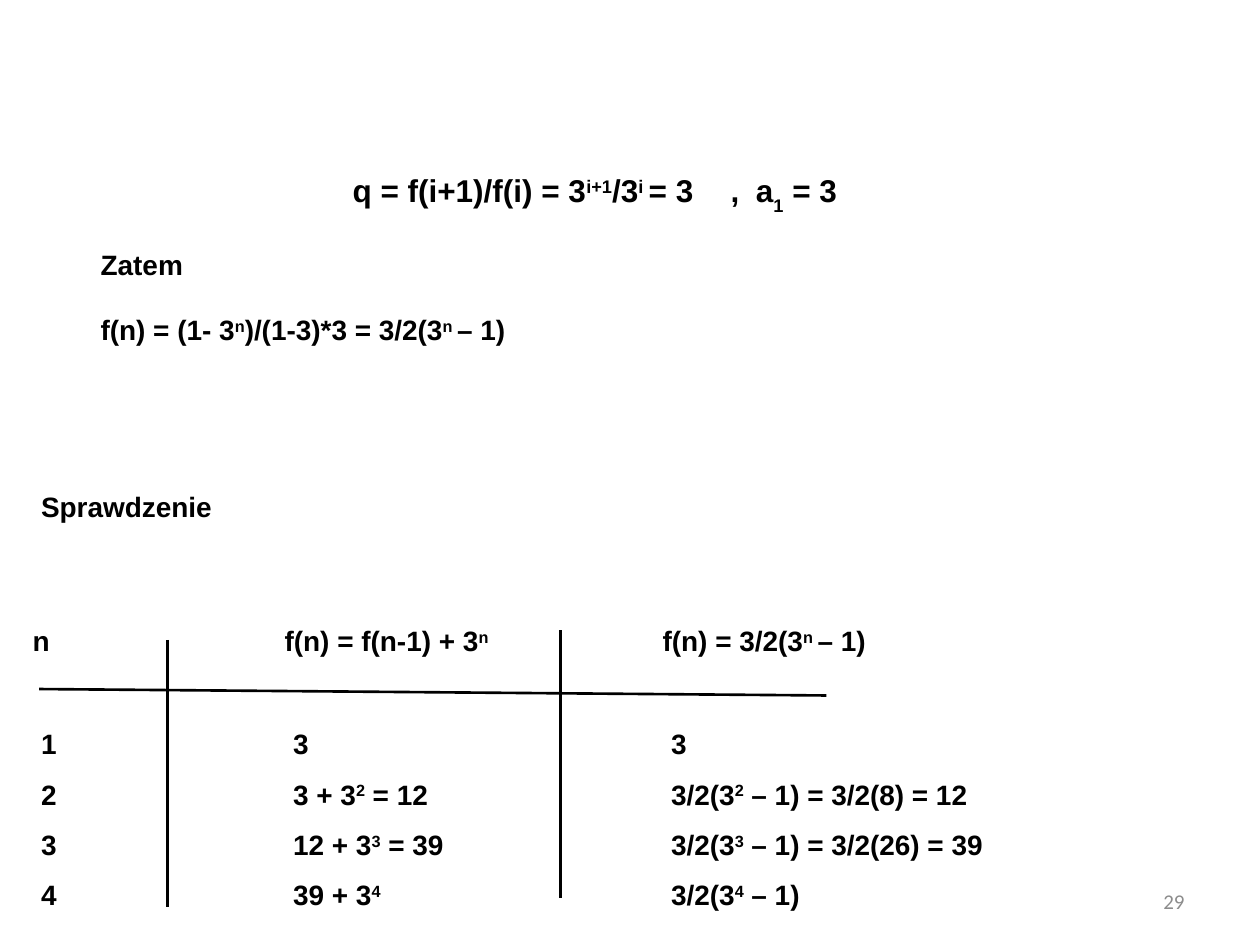
from pptx import Presentation
from pptx.util import Cm, Pt
from pptx.dml.color import RGBColor as Rgb
from pptx.enum.shapes import MSO_CONNECTOR as Link
from pptx.enum.text import MSO_ANCHOR as Anchor, PP_ALIGN as Align
from pptx.oxml.ns import qn
from lxml.etree import SubElement as Sub

# Content: ^...^ is raised, _..._ is lowered
proof = [
    ["", "q = f(i+1)/f(i) = 3^i+1^/3^i ^= 3", ",", "a_1_ = 3"],
    ["Zatem"],
    ["f(n) = (1- 3^n^)/(1-3)*3 = 3/2(3^n ^– 1)"],
]
check = [["Sprawdzenie"]]
head = [["n", "f(n) = f(n-1) + 3^n^", "f(n) = 3/2(3^n ^– 1)"]]
rows = [
    ["1", "3", "3"],
    ["2", "3 + 3^2^ = 12", "3/2(3^2^ – 1) = 3/2(8) = 12"],
    ["3", "12 + 3^3^ = 39", "3/2(3^3^ – 1) = 3/2(26) = 39"],
    ["4", "39 + 3^4^", "3/2(3^4^ – 1)"],
]
page = [["29"]]

hues = {"ink": "000000", "page": "8C8C8C"}
stops = [5.08, 12.7, 13.21]  # tab stops in cm
body = {"size": Pt(16), "name": "Arial", "bold": True}
large = {**body, "size": Pt(18)}
small = {"size": Pt(12), "name": "Calibri", "bold": False}

# Slide
deck = Presentation()
deck.slide_width, deck.slide_height = Cm(25.4), Cm(19.05)
slide = deck.slides.add_slide(deck.slide_layouts[6])


def add_run(para, text, font, hue, base=0):
    if not text:
        return
    run = para.add_run()
    run.text = text
    for key, val in font.items():
        setattr(run.font, key, val)
    run.font.color.rgb = Rgb.from_string(hues[hue])
    if base:
        run.font._element.set("baseline", str(base))


def add_text(lines, spot, fonts, form={}, anchor=Anchor.TOP, hue="ink"):
    frame = slide.shapes.add_textbox(*map(Cm, spot)).text_frame
    frame.word_wrap = True
    frame.vertical_anchor = anchor
    for i, cells in enumerate(lines):
        para = frame.add_paragraph() if i else frame.paragraphs[0]
        for key, val in form.items():
            setattr(para, key, val)
        if len(cells) > 1:
            tabs = Sub(para._p.get_or_add_pPr(), qn("a:tabLst"))
            for stop in stops:
                Sub(tabs, qn("a:tab"), pos=str(Cm(stop)), algn="l")
        font = fonts[min(i, len(fonts) - 1)]
        for j, part in enumerate("\t".join(cells).split("^")):
            for k, bit in enumerate(part.split("_")):
                base = 30000 if j % 2 else -30000 if k % 2 else 0
                add_run(para, bit, font, hue, base)


# Rules of the check table: x1, y1, x2, y2
for ends in [(0.79, 13.89, 16.66, 14.02),
             (3.38, 12.9, 3.38, 18.29),
             (11.3, 12.7, 11.3, 18.11)]:
    rule = slide.shapes.add_connector(Link.STRAIGHT, *map(Cm, ends))
    rule.line.color.rgb = Rgb.from_string(hues["ink"])
    rule.line.width = Pt(1.5)
    Sub(rule._element.spPr, qn("a:effectLst"))

# Text blocks: left, top, width, height
add_text(proof, (1.78, 3.33, 22.43, 3.76), [large, body], {"space_after": Pt(18)})
add_text(check, (0.58, 9.75, 18.47, 1), [body])
add_text(head, (0.41, 12.45, 22.02, 1), [body])
add_text(rows, (0.58, 14, 23.83, 4.5), [body], {"line_spacing": 1.5}, Anchor.BOTTOM)
add_text(page, (18.21, 17.65, 5.92, 1.02), [small], {"alignment": Align.RIGHT},
         Anchor.MIDDLE, "page")

deck.save("out.pptx")
